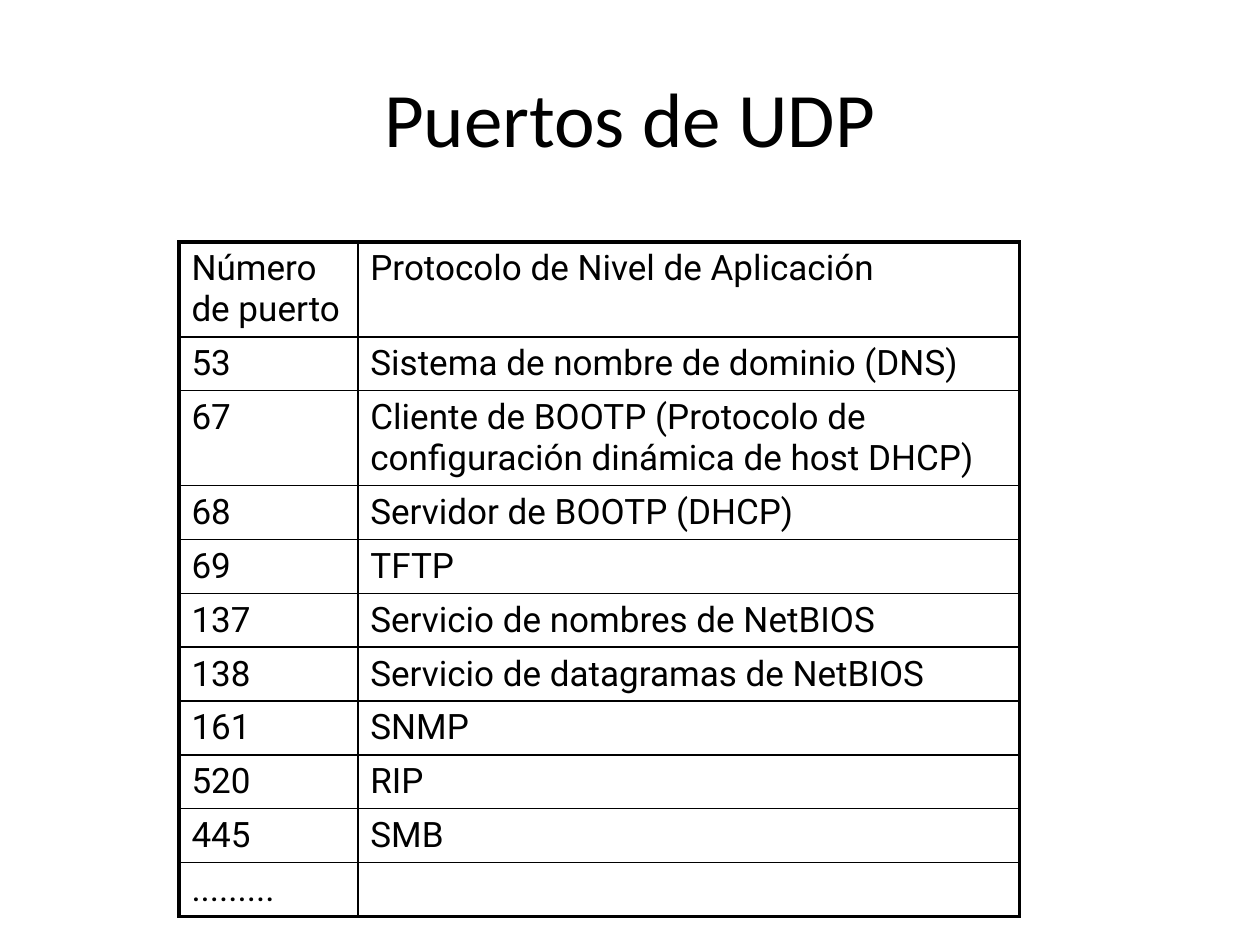
from lxml import etree
from pptx import Presentation
from pptx.dml.color import RGBColor
from pptx.enum.text import MSO_ANCHOR, PP_ALIGN
from pptx.oxml.ns import qn
from pptx.util import Inches, Pt

LEFT, CENTER = PP_ALIGN.LEFT, PP_ALIGN.CENTER
TOP, MIDDLE = MSO_ANCHOR.TOP, MSO_ANCHOR.MIDDLE
BLACK = "000000"
THIN, THICK = 1, 2.25
COLS = (1.42, 5.25)
LOW, TALL = 0.42, 0.75
PORTS = [
    ("Número de puerto", "Protocolo de Nivel de Aplicación", TALL),
    ("53", "Sistema de nombre de dominio (DNS)", LOW),
    ("67", "Cliente de BOOTP (Protocolo de configuración dinámica de host DHCP)",
     TALL),
    ("68", "Servidor de BOOTP (DHCP)", LOW),
    ("69", "TFTP", LOW),
    ("137", "Servicio de nombres de NetBIOS", LOW),
    ("138", "Servicio de datagramas de NetBIOS", LOW),
    ("161", "SNMP", LOW),
    ("520", "RIP", LOW),
    ("445", "SMB", LOW),
    (".........", "", LOW),
]


def color(code):
    return RGBColor.from_string(code)


def write(frame, text, font="Roboto", size=20, tint=BLACK, align=LEFT):
    para = frame.paragraphs[0]
    para.text = text
    para.alignment = align
    para.font.name = font
    para.font.size = Pt(size)
    para.font.color.rgb = color(tint)


def add_title(slide, text):
    title = slide.shapes.title
    title.left, title.top = Inches(0.5), Inches(0.3)
    title.width, title.height = Inches(9), Inches(1.25)
    title.text_frame.vertical_anchor = MIDDLE
    write(title.text_frame, text, font="Calibri", size=44, align=CENTER)


def set_edge(cell, side, width):
    props = cell._tc.get_or_add_tcPr()
    line = etree.SubElement(props, qn(f"a:ln{side}"), w=str(Pt(width)))
    fill = etree.SubElement(line, qn("a:solidFill"))
    etree.SubElement(fill, qn("a:srgbClr"), val=BLACK)


def frame_cell(cell, row, col, last):
    """Draw thick edges on the outside of the table and thin ones within."""
    outer = {"L": col == 0, "R": col == len(COLS) - 1,
             "T": row == 0, "B": row == last}
    for side, thick in outer.items():
        set_edge(cell, side, THICK if thick else THIN)


def add_ports(slide):
    high = sum(port[-1] for port in PORTS)
    table = slide.shapes.add_table(
        len(PORTS), len(COLS), Inches(1.42), Inches(1.92),
        Inches(sum(COLS)), Inches(high)).table
    table.first_row = table.horz_banding = False
    for col, width in enumerate(COLS):
        table.columns[col].width = Inches(width)
    for row, (*texts, height) in enumerate(PORTS):
        table.rows[row].height = Inches(height)
        for col, text in enumerate(texts):
            cell = table.cell(row, col)
            cell.vertical_anchor = TOP
            write(cell.text_frame, text)
            frame_cell(cell, row, col, len(PORTS) - 1)
            cell.fill.background()


def main():
    deck = Presentation()
    deck.slide_width, deck.slide_height = Inches(10), Inches(7.5)
    slide = deck.slides.add_slide(deck.slide_layouts[5])
    add_title(slide, "Puertos de UDP")
    add_ports(slide)
    deck.save("out.pptx")


if __name__ == "__main__":
    main()
